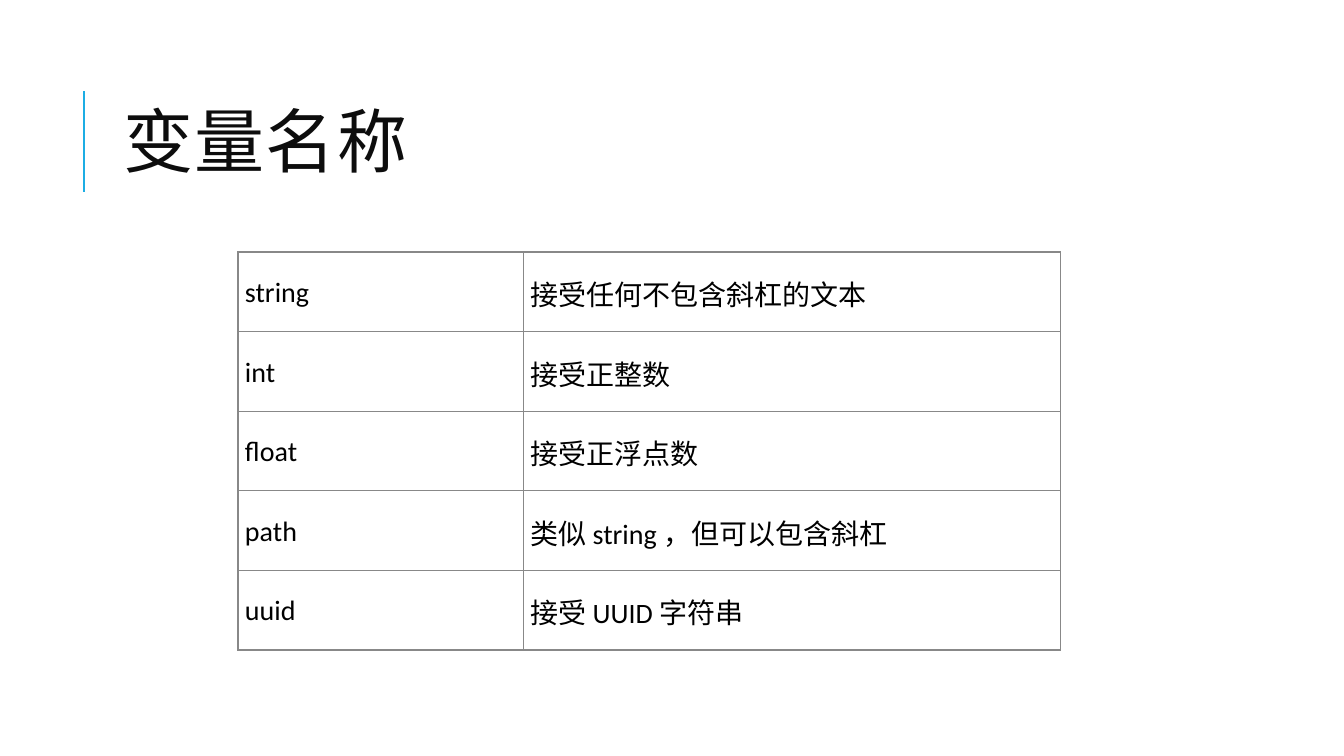
from lxml.etree import SubElement
from pptx import Presentation
from pptx.dml.color import RGBColor
from pptx.enum.shapes import MSO_CONNECTOR
from pptx.enum.text import MSO_ANCHOR, PP_ALIGN
from pptx.oxml.ns import qn
from pptx.util import Inches, Pt

TITLE = "变量名称"
ROWS = [
    ("string", "接受任何不包含斜杠的文本"),
    ("int", "接受正整数"),
    ("float", "接受正浮点数"),
    ("path", "类似 string ，但可以包含斜杠"),
    ("uuid", "接受 UUID 字符串"),
]
THEME = {
    "accent": "1CADE4", "title": "0D0D0D", "text": "000000",
    "border": "888888", "cell": "FFFFFF",
    "latin": "Calibri", "cjk": "Noto Sans CJK SC",
    "title_size": 50, "text_size": 20, "accent_width": 1.5, "border_width": 1,
}
SLIDE = (13.33, 7.5)
TITLE_BOX = (1.12, 0.64, 10.63, 1.64)
ACCENT_X, ACCENT_TOP, ACCENT_BOTTOM = 0.83, 0.9, 1.9
TABLE_LEFT, TABLE_TOP = 2.36, 2.5
COL_WIDTHS, ROW_HEIGHT = (2.83, 5.33), 0.79
CELL_FORMAT = {
    "vertical_anchor": MSO_ANCHOR.MIDDLE,
    "margin_left": Inches(0.07), "margin_right": Inches(0.07),
    "margin_top": 0, "margin_bottom": 0,
}


def apply(obj, values):
    for name, value in values.items():
        setattr(obj, name, value)


def color(name):
    return RGBColor.from_string(THEME[name])


def write(tf, text, size, tint, latin, spacing):
    p = tf.paragraphs[0]
    apply(p, {"alignment": PP_ALIGN.LEFT, "line_spacing": spacing})
    r = p.add_run()
    r.text = text
    r.font.color.rgb = color(tint)
    apply(r.font, {"size": Pt(THEME[size]), "name": THEME[latin]})
    rPr = r.font._element
    SubElement(rPr, qn("a:ea"), typeface=THEME["cjk"])
    return rPr


def add_borders(cell):
    tcPr = cell._tc.get_or_add_tcPr()
    for side in ("lnL", "lnR", "lnT", "lnB"):
        ln = SubElement(tcPr, qn(f"a:{side}"), w=str(Pt(THEME["border_width"])))
        fill = SubElement(ln, qn("a:solidFill"))
        SubElement(fill, qn("a:srgbClr"), val=THEME["border"])


def add_title(s):
    sp = s.shapes.title
    apply(sp, dict(zip(("left", "top", "width", "height"), map(Inches, TITLE_BOX))))
    apply(sp.text_frame, {"vertical_anchor": MSO_ANCHOR.MIDDLE, "word_wrap": True})
    rPr = write(sp.text_frame, TITLE, "title_size", "title", "cjk", 0.8)
    rPr.set("spc", "100")


def add_accent(s):
    x = Inches(ACCENT_X)
    line = s.shapes.add_connector(
        MSO_CONNECTOR.STRAIGHT, x, Inches(ACCENT_BOTTOM), x, Inches(ACCENT_TOP))
    line.line.color.rgb = color("accent")
    line.line.width = Pt(THEME["accent_width"])
    SubElement(line._element.spPr, qn("a:effectLst"))


def add_types_table(s):
    box = (TABLE_LEFT, TABLE_TOP, sum(COL_WIDTHS), ROW_HEIGHT * len(ROWS))
    table = s.shapes.add_table(len(ROWS), len(COL_WIDTHS), *map(Inches, box)).table
    apply(table, {"first_row": False, "horz_banding": False})
    for column, width in zip(table.columns, COL_WIDTHS):
        column.width = Inches(width)
    for row, texts in zip(table.rows, ROWS):
        row.height = Inches(ROW_HEIGHT)
        for cell, text in zip(row.cells, texts):
            apply(cell, CELL_FORMAT)
            add_borders(cell)
            cell.fill.solid()
            cell.fill.fore_color.rgb = color("cell")
            write(cell.text_frame, text, "text_size", "text", "latin", 1.07)


def main():
    prs = Presentation()
    apply(prs, dict(zip(("slide_width", "slide_height"), map(Inches, SLIDE))))
    s = prs.slides.add_slide(prs.slide_layouts[5])
    add_accent(s)
    add_title(s)
    add_types_table(s)
    prs.save("out.pptx")


if __name__ == "__main__":
    main()
